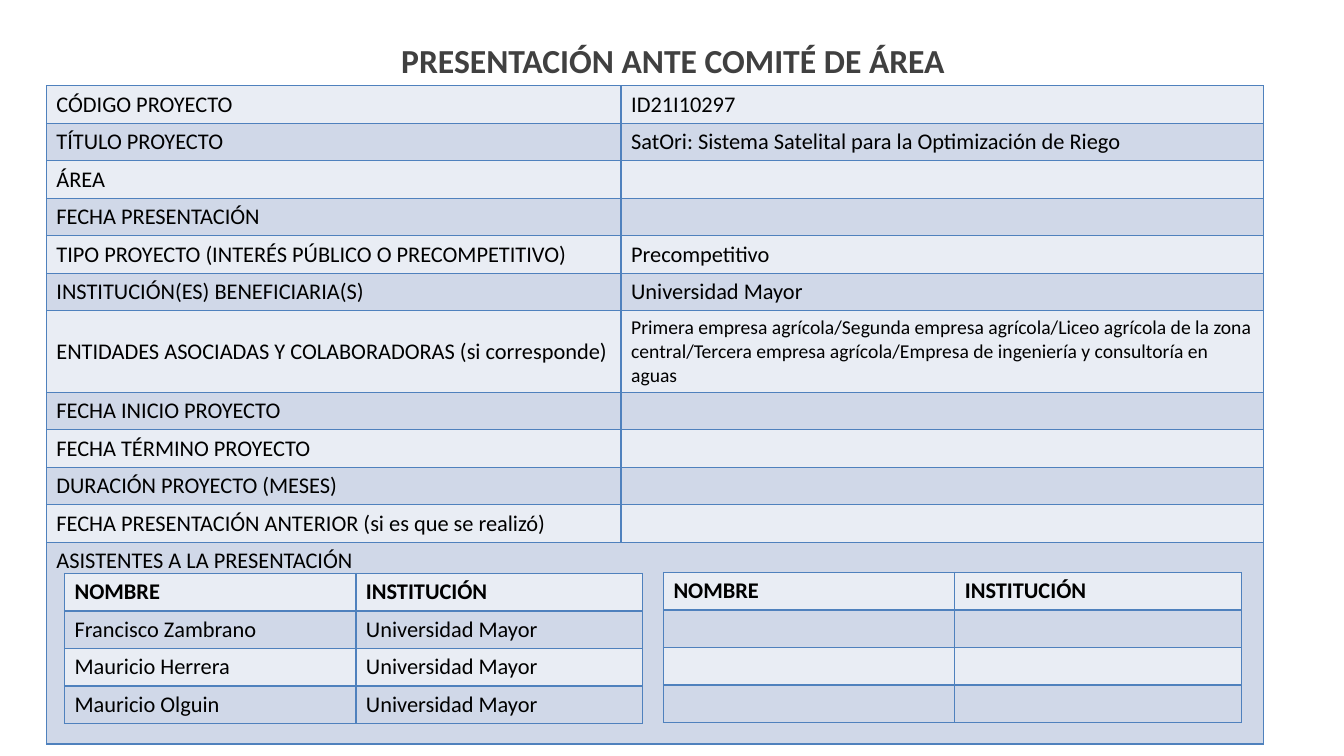
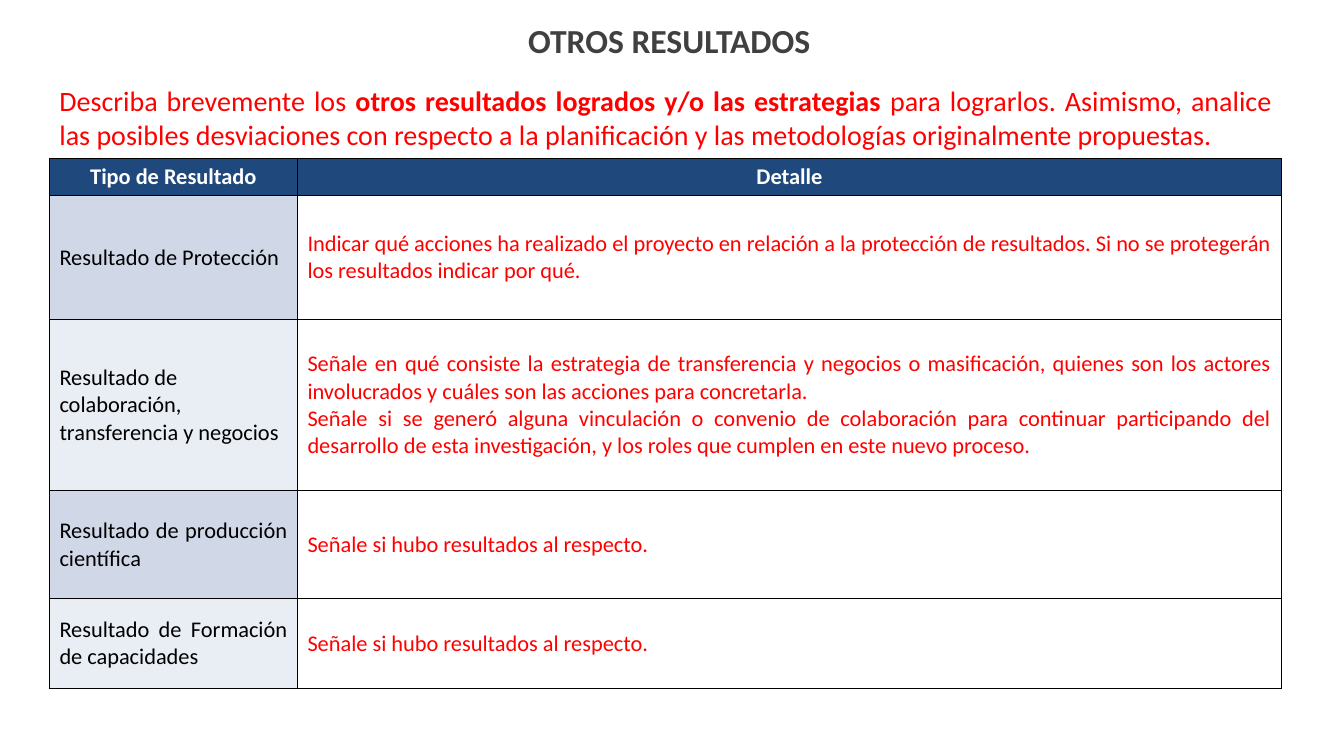
import pptx
import pptx.dml.color
import pptx.enum.text
import pptx.oxml
import pptx.oxml.ns
import pptx.util

RGBColor = pptx.dml.color.RGBColor
Align = pptx.enum.text.PP_ALIGN
Anchor = pptx.enum.text.MSO_ANCHOR

PX = 9144  # EMU per px, 100 px to the inch
FONT = "Calibri"
TITLE_GREY = RGBColor(0x40, 0x40, 0x40)
BLACK = RGBColor(0, 0, 0)
WHITE = RGBColor(0xFF, 0xFF, 0xFF)
RED = RGBColor(0xFF, 0, 0)
NAVY = RGBColor(0x1F, 0x49, 0x7D)
BORDER_BLUE = RGBColor(0x4F, 0x81, 0xBD)
BAND_LIGHT = RGBColor(0xE9, 0xED, 0xF4)
BAND_DARK = RGBColor(0xD0, 0xD8, 0xE8)
ROW = 37


def band(row):
    return BAND_DARK if row % 2 else BAND_LIGHT


def write(frame, text, size=16, color=BLACK, bold=False, align=Align.LEFT):
    """Fill a frame; text is a string or a list of paragraphs, each a string or (text, bold) runs."""
    frame.word_wrap = True
    for index, content in enumerate([text] if isinstance(text, str) else text):
        paragraph = frame.paragraphs[0] if index == 0 else frame.add_paragraph()
        paragraph.alignment = align
        paragraph.space_before = pptx.util.Pt(0)
        if not content:
            # An empty line still needs its size, or it would stretch the row
            pptx.oxml.ns.qn("a:endParaRPr")
            end = paragraph._p.get_or_add_endParaRPr()
            end.set("sz", str(size * 100))
            continue
        for words, run_bold in [(content, bold)] if isinstance(content, str) else content:
            run = paragraph.add_run()
            run.text = words
            run.font.name = FONT
            run.font.size = pptx.util.Pt(size)
            run.font.bold = run_bold
            run.font.color.rgb = color


def outline(cell, color):
    """Draw a 1 pt line on all four sides of a table cell."""
    properties = cell._tc.get_or_add_tcPr()
    for position, side in enumerate(("lnL", "lnR", "lnT", "lnB")):
        properties.insert(position, pptx.oxml.parse_xml(
            f'<a:{side} xmlns:a="http://schemas.openxmlformats.org/drawingml/2006/main" w="12700">'
            f'<a:solidFill><a:srgbClr val="{color}"/></a:solidFill></a:{side}>'))


class Deck:
    def __init__(self):
        self.presentation = pptx.Presentation()
        self.presentation.slide_width = 1333 * PX
        self.presentation.slide_height = 750 * PX
        self.slide = None

    def add_slide(self, title, top, height):
        self.slide = self.presentation.slides.add_slide(self.presentation.slide_layouts[5])
        shape = self.slide.shapes.title
        shape.left, shape.top, shape.width, shape.height = (
            value * PX for value in (64, top, 1207, height))
        frame = shape.text_frame
        frame.vertical_anchor = Anchor.TOP
        frame.auto_size = pptx.enum.text.MSO_AUTO_SIZE.NONE
        write(frame, title, size=24, color=TITLE_GREY, bold=True, align=Align.CENTER)

    def add_text(self, left, top, width, height, text, **style):
        box = self.slide.shapes.add_textbox(left * PX, top * PX, width * PX, height * PX)
        write(box.text_frame, text, **style)

    def add_table(self, left, top, columns, heights, border):
        frame = self.slide.shapes.add_table(
            len(heights), len(columns), left * PX, top * PX, sum(columns) * PX, sum(heights) * PX)
        table = frame.table
        table.first_row = table.horz_banding = False
        for column, width in zip(table.columns, columns):
            column.width = width * PX
        for row, height in zip(table.rows, heights):
            row.height = height * PX
        for cell in table.iter_cells():
            outline(cell, border)
        return table

    def set_cell(self, cell, text, fill, anchor=Anchor.MIDDLE, **style):
        cell.fill.solid()
        cell.fill.fore_color.rgb = fill
        cell.vertical_anchor = anchor
        write(cell.text_frame, text, **style)

    def add_attendees(self, left, top, people):
        rows = [("NOMBRE", "INSTITUCIÓN")] + people
        table = self.add_table(left, top, (289, 284), [ROW] * len(rows), BORDER_BLUE)
        for row, texts in enumerate(rows):
            for column, text in enumerate(texts):
                self.set_cell(table.cell(row, column), text, band(row),
                              anchor=Anchor.TOP, bold=row == 0)


def build_committee(deck):
    deck.add_slide("PRESENTACIÓN ANTE COMITÉ DE ÁREA", 35, 68)

    # Project data
    partners = ("Primera empresa agrícola/Segunda empresa agrícola/Liceo agrícola de la zona "
                "central/Tercera empresa agrícola/Empresa de ingeniería y consultoría en aguas")
    rows = [
        ("CÓDIGO PROYECTO", "ID21I10297"),
        ("TÍTULO PROYECTO", "SatOri: Sistema Satelital para la Optimización de Riego"),
        ("ÁREA", ""),
        ("FECHA PRESENTACIÓN", ""),
        ("TIPO PROYECTO (INTERÉS PÚBLICO O PRECOMPETITIVO)", "Precompetitivo"),
        ("INSTITUCIÓN(ES) BENEFICIARIA(S)", "Universidad Mayor"),
        ("ENTIDADES ASOCIADAS Y COLABORADORAS (si corresponde)", partners),
        ("FECHA INICIO PROYECTO", ""),
        ("FECHA TÉRMINO PROYECTO", ""),
        ("DURACIÓN PROYECTO (MESES)", ""),
        ("FECHA PRESENTACIÓN ANTERIOR (si es que se realizó)", ""),
    ]
    heights = [81 if value == partners else ROW for _, value in rows] + [200]
    table = deck.add_table(46, 85, (570, 637), heights, BORDER_BLUE)
    for row, (label, value) in enumerate(rows):
        deck.set_cell(table.cell(row, 0), label, band(row))
        deck.set_cell(table.cell(row, 1), value, band(row), size=14 if value == partners else 16)

    # Attendees, inside the merged last row
    last = len(rows)
    table.cell(last, 0).merge(table.cell(last, 1))
    deck.set_cell(table.cell(last, 0), "ASISTENTES A LA PRESENTACIÓN", band(last),
                  anchor=Anchor.TOP)
    names = ("Francisco Zambrano", "Mauricio Herrera", "Mauricio Olguin")
    deck.add_attendees(64, 569, [(name, "Universidad Mayor") for name in names])
    deck.add_attendees(658, 568, [("", "")] * len(names))


def build_other_results(deck):
    deck.add_slide("OTROS RESULTADOS ", 15, 63)

    # Instructions
    deck.add_text(49, 78, 1222, 77, [[
        ("Describa brevemente los ", False),
        ("otros resultados logrados y/o las estrategias ", True),
        ("para lograrlos. Asimismo, analice las posibles desviaciones con respecto a la "
         "planificación y las metodologías originalmente propuestas.", False),
    ]], size=20, color=RED, align=Align.JUSTIFY)

    # Results table
    no_results = "Señale si hubo resultados al respecto."
    rows = [
        ("Resultado de Protección", Align.JUSTIFY,
         "Indicar qué acciones ha realizado el proyecto en relación a la protección de "
         "resultados. Si no se protegerán los resultados indicar por qué."),
        ("Resultado de colaboración, transferencia y negocios", Align.LEFT, [
            "Señale en qué consiste la estrategia de transferencia y negocios o masificación, "
            "quienes son los actores involucrados y cuáles son las acciones para concretarla.",
            "Señale si se generó alguna vinculación o convenio de colaboración para continuar "
            "participando del desarrollo de esta investigación, y los roles que cumplen en este "
            "nuevo proceso."]),
        ("Resultado de producción científica", Align.JUSTIFY, no_results),
        ("Resultado de Formación de capacidades", Align.JUSTIFY, no_results),
    ]
    table = deck.add_table(49, 157, (246, 976), (ROW, 123, 170, 107, 89), BLACK)
    for column, heading in enumerate(("Tipo de Resultado", "Detalle")):
        deck.set_cell(table.cell(0, column), heading, NAVY,
                      color=WHITE, bold=True, align=Align.CENTER)
    for row, (label, align, detail) in enumerate(rows, start=1):
        deck.set_cell(table.cell(row, 0), label, band(row), align=align)
        deck.set_cell(table.cell(row, 1), detail, WHITE, color=RED, align=Align.JUSTIFY)


def main():
    deck = Deck()
    build_committee(deck)
    build_other_results(deck)
    deck.presentation.save("out.pptx")


if __name__ == "__main__":
    main()
